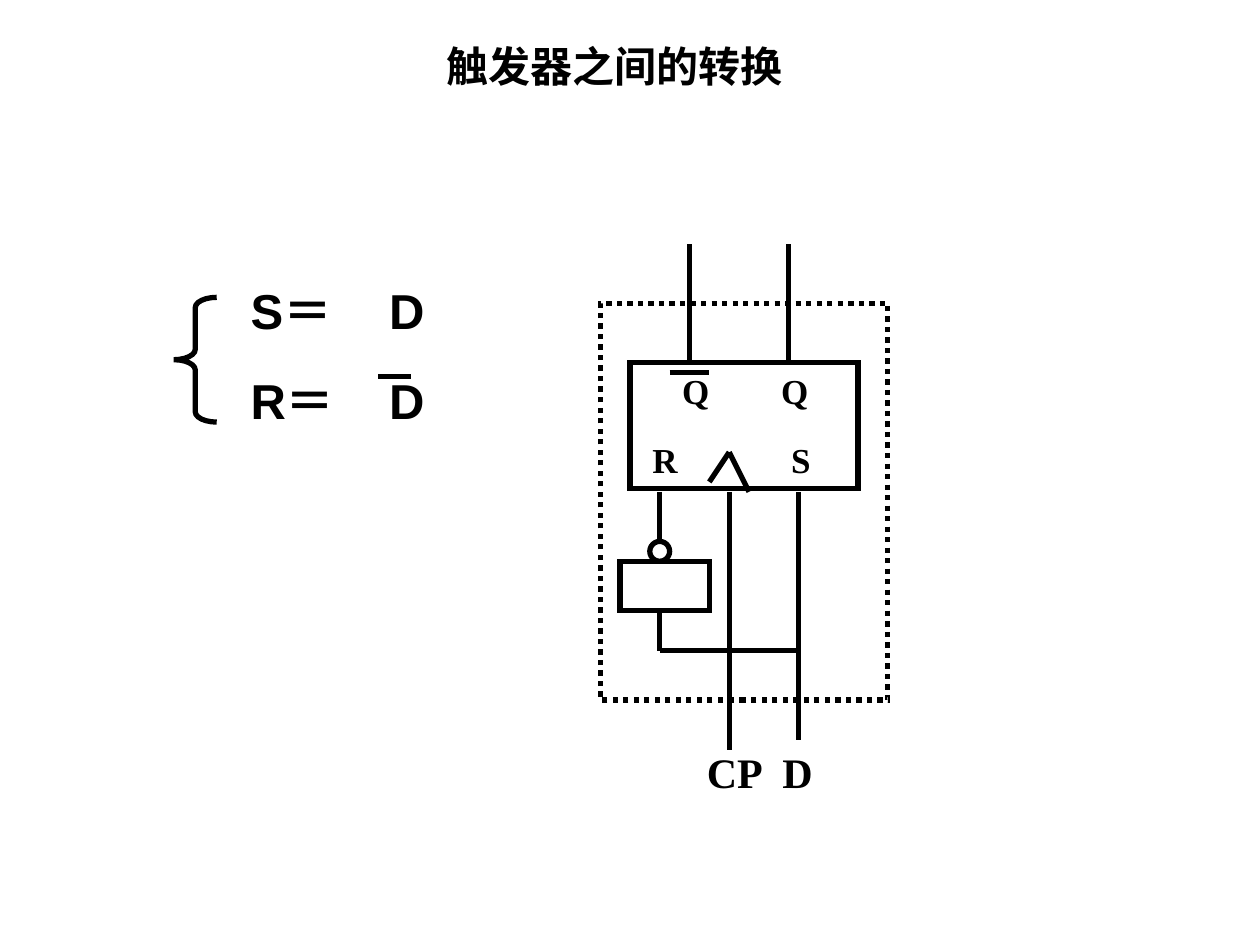
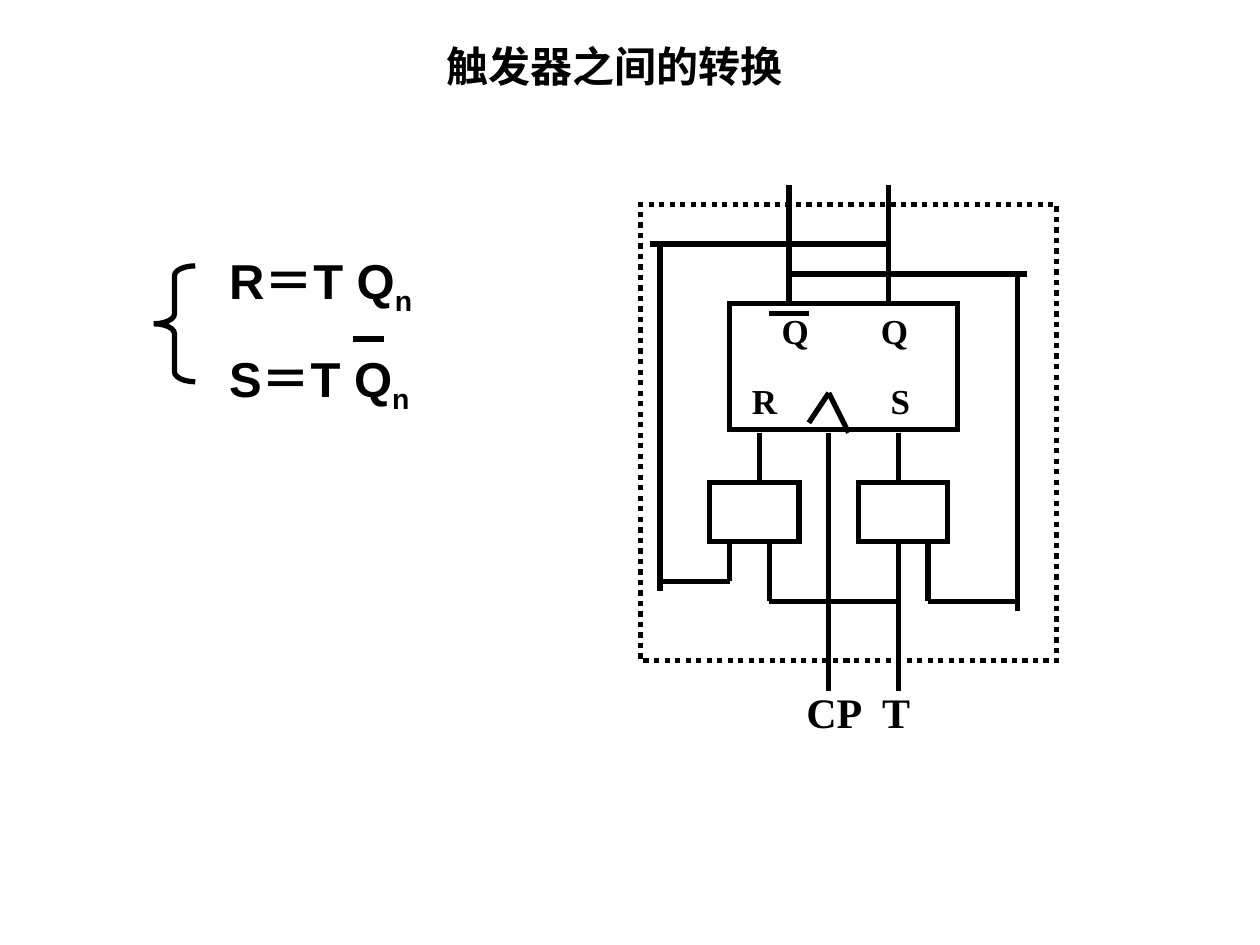
import pptx
import pptx.util
import pptx.dml.color
import pptx.enum.dml
import pptx.enum.shapes
import pptx.enum.text
import pptx.oxml.ns
from lxml import etree

# ---- Shared look ----
COLOURS = {"ink": "000000"}
SLIDE_SIZE = (10, 7.5)
STROKE = 3
CELL = 1 / 12.7  # grid step of the circuits: 2 mm
TITLE = "触发器之间的转换"
TITLE_BOX = (2.4, 0.27, 4.96, 0.5)
STYLES = {
    "title": {"name": "Arial", "size": 24},
    "equation": {"name": "Arial", "size": 28},
    "pin": {"name": "Times New Roman", "size": 20},
    "input": {"name": "Times New Roman", "size": 24},
}

# ---- Flip-flop: grid cells counted from its top left corner ----
BODY = (0, 0, 23, 12.7)
PINS = [("Q", 4, 0), ("R", 1, 7), ("Q", 14, 0), ("S", 15, 7)]
FLIP_FLOP_WIRES = [
    [(8, 12), (10, 9), (12, 13)],  # clock mark
    [(10, 13), (10, 39)],          # clock input
    [(6, 0), (6, -12)],            # inverted output
    [(16, 0), (16, -12)],          # output
    [(3, 13), (3, 18)],            # R input
    [(4, 1), (8, 1)],              # bar over Q
]
INPUT_BOX = (6.5, 38, 18, 6)
INPUT_TAB = 0.6

# ---- Conversions; a pair in an equation is (base, subscript) ----
CONVERSIONS = [
    {   # RS to D
        "equations": [("S＝\tD", ""), ("R＝\tD", "")],
        "equation_box": (1.89, 2.18, 2.4, 1.28),
        "equation_tab": 1.1,
        "brace": (1.38, 2.36, 0.34, 0.99),
        "bar": [(3, 2.99), (3.26, 2.99)],
        "corner": (5, 2.88),
        "gates": [(-1, 20, 9, 5)],
        "bubbles": [(2, 18, 2, 2)],
        "wires": [
            [(17, 13), (17, 38)],
            [(3, 25), (3, 29), (17, 29)],
        ],
        "frame": (-3, -6, 29, 40),
        "inputs": "CP\tD",
    },
    {   # RS to T
        "equations": [("R＝T Q", "n"), ("S＝T Q", "n")],
        "equation_box": (1.72, 1.94, 2.33, 1.41),
        "equation_tab": None,
        "brace": (1.22, 2.11, 0.33, 0.92),
        "bar": [(2.8, 2.69), (3.05, 2.69)],
        "corner": (5.79, 2.41),
        "gates": [(-2, 18, 9, 6), (13, 18, 9, 6)],
        "bubbles": [],
        "wires": [
            [(17, 13), (17, 18)],
            [(17, 24), (17, 39)],
            [(4, 24), (4, 30), (17, 30)],
            [(6, -3), (30, -3)],
            [(29, -3), (29, 31)],
            [(20, 24), (20, 30), (29, 30)],
            [(16, -6), (-8, -6)],
            [(-7, -6), (-7, 29)],
            [(-7, 28), (0, 28), (0, 24)],
        ],
        "frame": (-9, -10, 42, 46),
        "inputs": "CP\tT",
    },
]


def inches(values):
    return [pptx.util.Inches(value) for value in values]


def ink():
    return pptx.dml.color.RGBColor.from_string(COLOURS["ink"])


def draw_stroke(line):
    line.color.rgb = ink()
    line.width = pptx.util.Pt(STROKE)


def add_outline(slide, preset, box):
    outline = slide.shapes.add_shape(preset, *inches(box))
    outline.shadow.inherit = False
    outline.fill.background()
    draw_stroke(outline.line)
    stroke = outline.element.spPr.find(pptx.oxml.ns.qn("a:ln"))
    etree.SubElement(stroke, pptx.oxml.ns.qn("a:miter"), lim="800000")
    return outline


def add_wire(slide, points):
    for start, end in zip(points, points[1:]):
        wire = slide.shapes.add_connector(
            pptx.enum.shapes.MSO_CONNECTOR.STRAIGHT, *inches(start + end))
        draw_stroke(wire.line)
        etree.SubElement(wire.element.spPr, pptx.oxml.ns.qn("a:effectLst"))


def add_text(slide, box, lines, style, tab=None, align="LEFT"):
    frame = slide.shapes.add_textbox(*inches(box)).text_frame
    frame.word_wrap = True
    for number, (base, subscript) in enumerate(lines):
        paragraph = frame.add_paragraph() if number else frame.paragraphs[0]
        paragraph.alignment = getattr(pptx.enum.text.PP_ALIGN, align)
        if number:
            paragraph.space_before = pptx.util.Pt(17.5)
        if tab:
            properties = paragraph._p.get_or_add_pPr()
            stops = etree.SubElement(properties, pptx.oxml.ns.qn("a:tabLst"))
            etree.SubElement(stops, pptx.oxml.ns.qn("a:tab"),
                             pos=str(pptx.util.Inches(tab)), algn="l")
        for words, baseline in ((base, None), (subscript, "-25000")):
            if not words:
                continue
            run = paragraph.add_run()
            run.text = words
            look = dict(STYLES[style], bold=True)
            look["size"] = pptx.util.Pt(look["size"])
            for key, value in look.items():
                setattr(run.font, key, value)
            run.font.color.rgb = ink()
            if baseline:
                run._r.get_or_add_rPr().set("baseline", baseline)


def add_equations(slide, part):
    add_text(slide, part["equation_box"], part["equations"], "equation",
             part["equation_tab"])
    brace = add_outline(
        slide, pptx.enum.shapes.MSO_SHAPE.LEFT_BRACE, part["brace"])
    brace.adjustments[0] = 0.24
    add_wire(slide, part["bar"])


def add_circuit(slide, part):
    left, top = part["corner"]
    presets = pptx.enum.shapes.MSO_SHAPE

    def place(x, y, *size):
        return (left + x * CELL, top + y * CELL, *(s * CELL for s in size))

    for block in [BODY] + part["gates"]:
        add_outline(slide, presets.RECTANGLE, place(*block))
    for bubble in part["bubbles"]:
        add_outline(slide, presets.OVAL, place(*bubble))
    for wire in FLIP_FLOP_WIRES + part["wires"]:
        add_wire(slide, [place(*point) for point in wire])
    for pin, x, y in PINS:
        add_text(slide, place(x, y, 5, 5.6), [(pin, "")], "pin")
    add_text(slide, place(*INPUT_BOX), [(part["inputs"], "")], "input",
             INPUT_TAB)
    frame = add_outline(slide, presets.RECTANGLE, place(*part["frame"]))
    frame.line.dash_style = pptx.enum.dml.MSO_LINE.ROUND_DOT


def main():
    deck = pptx.Presentation()
    deck.slide_width, deck.slide_height = inches(SLIDE_SIZE)
    for part in CONVERSIONS:
        slide = deck.slides.add_slide(deck.slide_layouts[6])
        add_equations(slide, part)
        add_circuit(slide, part)
        add_text(slide, TITLE_BOX, [(TITLE, "")], "title", align="CENTER")
    deck.save("out.pptx")


if __name__ == "__main__":
    main()
